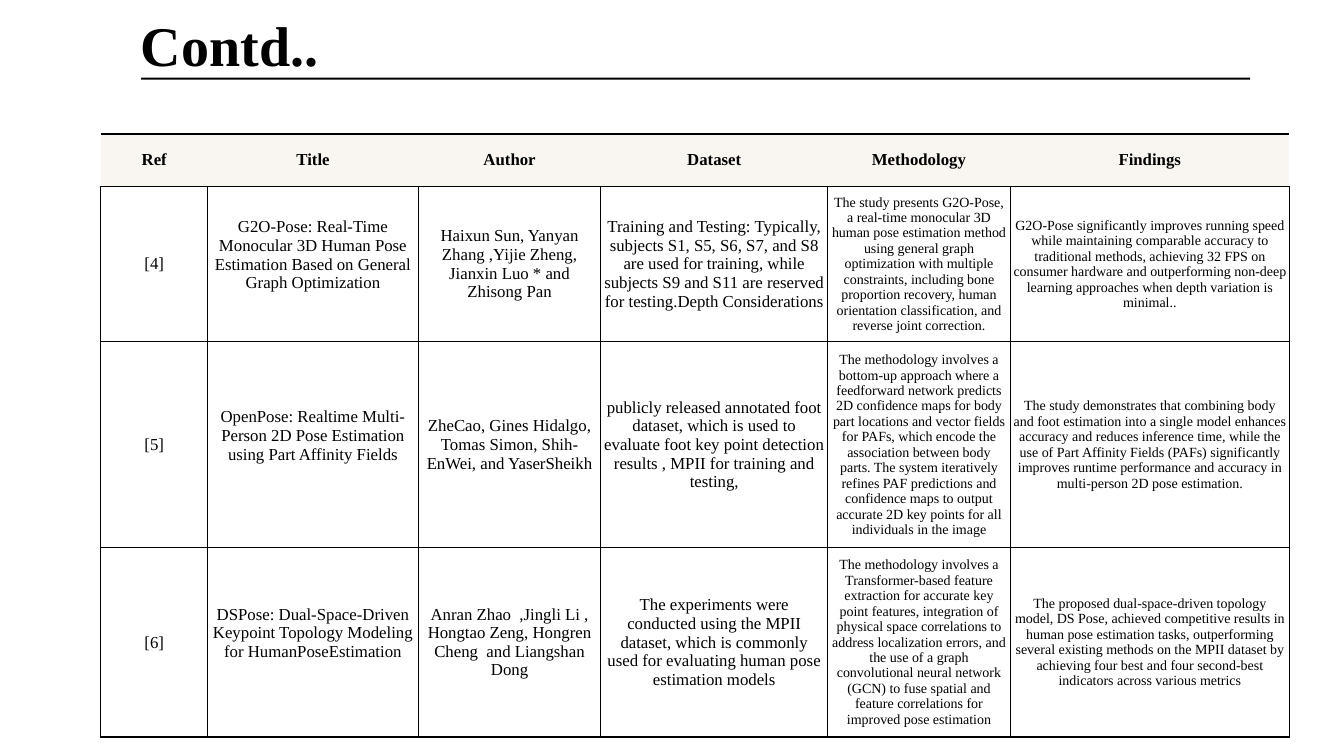
"""Builds a literature survey slide with a ruled title and a six-column table."""
from lxml import etree
from pptx import Presentation
from pptx import util as u
from pptx.dml.color import RGBColor
from pptx.enum import shapes, text
from pptx.oxml.ns import qn

TITLE = "Contd.."
HEADERS = ["Ref", "Title", "Author", "Dataset", "Methodology", "Findings"]
STUDIES = [
    ["[4]",
     "G2O-Pose: Real-Time Monocular 3D Human Pose Estimation Based on General Graph Optimization",
     "Haixun Sun, Yanyan Zhang ,Yijie Zheng, Jianxin Luo * and Zhisong Pan",
     "Training and Testing: Typically, subjects S1, S5, S6, S7, and S8 are used for training, "
     "while subjects S9 and S11 are reserved for testing.Depth Considerations",
     "The study presents G2O-Pose, a real-time monocular 3D human pose estimation method using "
     "general graph optimization with multiple constraints, including bone proportion recovery, "
     "human orientation classification, and reverse joint correction.",
     "G2O-Pose significantly improves running speed while maintaining comparable accuracy to "
     "traditional methods, achieving 32 FPS on consumer hardware and outperforming non-deep "
     "learning approaches when depth variation is minimal.."],
    ["[5]",
     "OpenPose: Realtime Multi-Person 2D Pose Estimation using Part Affinity Fields",
     "ZheCao, Gines Hidalgo, Tomas Simon, Shih-EnWei, and YaserSheikh",
     "publicly released annotated foot dataset, which is used to evaluate foot key point "
     "detection results , MPII for training and testing,",
     "The methodology involves a bottom-up approach where a feedforward network predicts 2D "
     "confidence maps for body part locations and vector fields for PAFs, which encode the "
     "association between body parts. The system iteratively refines PAF predictions and "
     "confidence maps to output accurate 2D key points for all individuals in the image",
     "The study demonstrates that combining body and foot estimation into a single model "
     "enhances accuracy and reduces inference time, while the use of Part Affinity Fields "
     "(PAFs) significantly improves runtime performance and accuracy in multi-person 2D pose "
     "estimation."],
    ["[6]",
     "DSPose: Dual-Space-Driven Keypoint Topology Modeling for HumanPoseEstimation",
     "Anran Zhao\u00a0 ,Jingli Li , Hongtao Zeng, Hongren Cheng\u00a0 and Liangshan Dong",
     "The experiments were conducted using the MPII dataset, which is commonly used for "
     "evaluating human pose estimation models",
     "The methodology involves a Transformer-based feature extraction for accurate key point "
     "features, integration of physical space correlations to address localization errors, and "
     "the use of a graph convolutional neural network (GCN) to fuse spatial and feature "
     "correlations for improved pose estimation",
     "The proposed dual-space-driven topology model, DS Pose, achieved competitive results in "
     "human pose estimation tasks, outperforming several existing methods on the MPII dataset "
     "by achieving four best and four second-best indicators across various metrics"],
]
COLUMN_WIDTHS = [1.06, 2.09, 1.81, 2.25, 1.81, 2.77]
ROW_HEIGHTS = [0.52, 1.54, 2.03, 1.87]
COLUMN_SIZES = [12, 12, 12, 12, 10, 10]
TITLE_COLUMN = 1
COLORS = {"ink": "000000", "header": "F9F6F1", "body": "FFFFFF"}
FONT = "Times New Roman"


def style_text(paragraph, size, bold):
    for run in paragraph.runs:
        run.font.name = FONT
        run.font.size = u.Pt(size)
        run.font.bold = bold
        run.font.color.rgb = RGBColor.from_string(COLORS["ink"])


def set_borders(cell, ruled_sides):
    properties = cell._tc.get_or_add_tcPr()
    for side in "LRTB":
        line = etree.SubElement(properties, qn(f"a:ln{side}"), w=str(u.Pt(1)))
        if side in ruled_sides:
            fill = etree.SubElement(line, qn("a:solidFill"))
            etree.SubElement(fill, qn("a:srgbClr"), val=COLORS["ink"])
        else:
            etree.SubElement(line, qn("a:noFill"))


def add_title(slide):
    box = slide.shapes.add_textbox(u.Inches(1.3), 0, u.Inches(10.74), u.Inches(0.77))
    frame = box.text_frame
    frame.word_wrap = True
    frame.vertical_anchor = text.MSO_ANCHOR.BOTTOM
    frame.margin_bottom = 0
    frame.text = TITLE
    style_text(frame.paragraphs[0], 40, True)


def add_rule(slide):
    rule = slide.shapes.add_shape(shapes.MSO_SHAPE.RECTANGLE, u.Inches(1.4), u.Inches(0.77),
                                  u.Inches(11), u.Inches(0.02))
    rule.shadow.inherit = False
    rule.fill.solid()
    rule.fill.fore_color.rgb = RGBColor.from_string(COLORS["ink"])
    rule.line.fill.background()


def fill_cell(cell, content, row, column):
    is_header = row == 0
    cell.text_frame.text = content
    cell.vertical_anchor = text.MSO_ANCHOR.MIDDLE
    cell.margin_left = cell.margin_right = u.Inches(0.01 if is_header else 0.03)
    cell.margin_top = cell.margin_bottom = u.Inches(0.02)
    if column == TITLE_COLUMN and not is_header:
        cell.margin_bottom = u.Inches(0.2)
    paragraph = cell.text_frame.paragraphs[0]
    paragraph.alignment = text.PP_ALIGN.CENTER
    style_text(paragraph, 12 if is_header else COLUMN_SIZES[column], is_header)
    set_borders(cell, "TB" if is_header else "LRTB")
    cell.fill.solid()
    cell.fill.fore_color.rgb = RGBColor.from_string(COLORS["header" if is_header else "body"])


def add_survey(slide):
    rows = [HEADERS] + STUDIES
    table = slide.shapes.add_table(len(rows), len(HEADERS), u.Inches(1), u.Inches(1.33),
                                   u.Inches(sum(COLUMN_WIDTHS)),
                                   u.Inches(sum(ROW_HEIGHTS))).table
    table.horz_banding = False
    for column, width in zip(table.columns, COLUMN_WIDTHS):
        column.width = u.Inches(width)
    for row, height in zip(table.rows, ROW_HEIGHTS):
        row.height = u.Inches(height)
    for row, contents in enumerate(rows):
        for column, content in enumerate(contents):
            fill_cell(table.cell(row, column), content, row, column)


def main():
    presentation = Presentation()
    presentation.slide_width = u.Inches(13.33)
    presentation.slide_height = u.Inches(7.5)
    slide = presentation.slides.add_slide(presentation.slide_layouts[6])
    add_title(slide)
    add_survey(slide)
    add_rule(slide)
    presentation.save("out.pptx")


if __name__ == "__main__":
    main()
